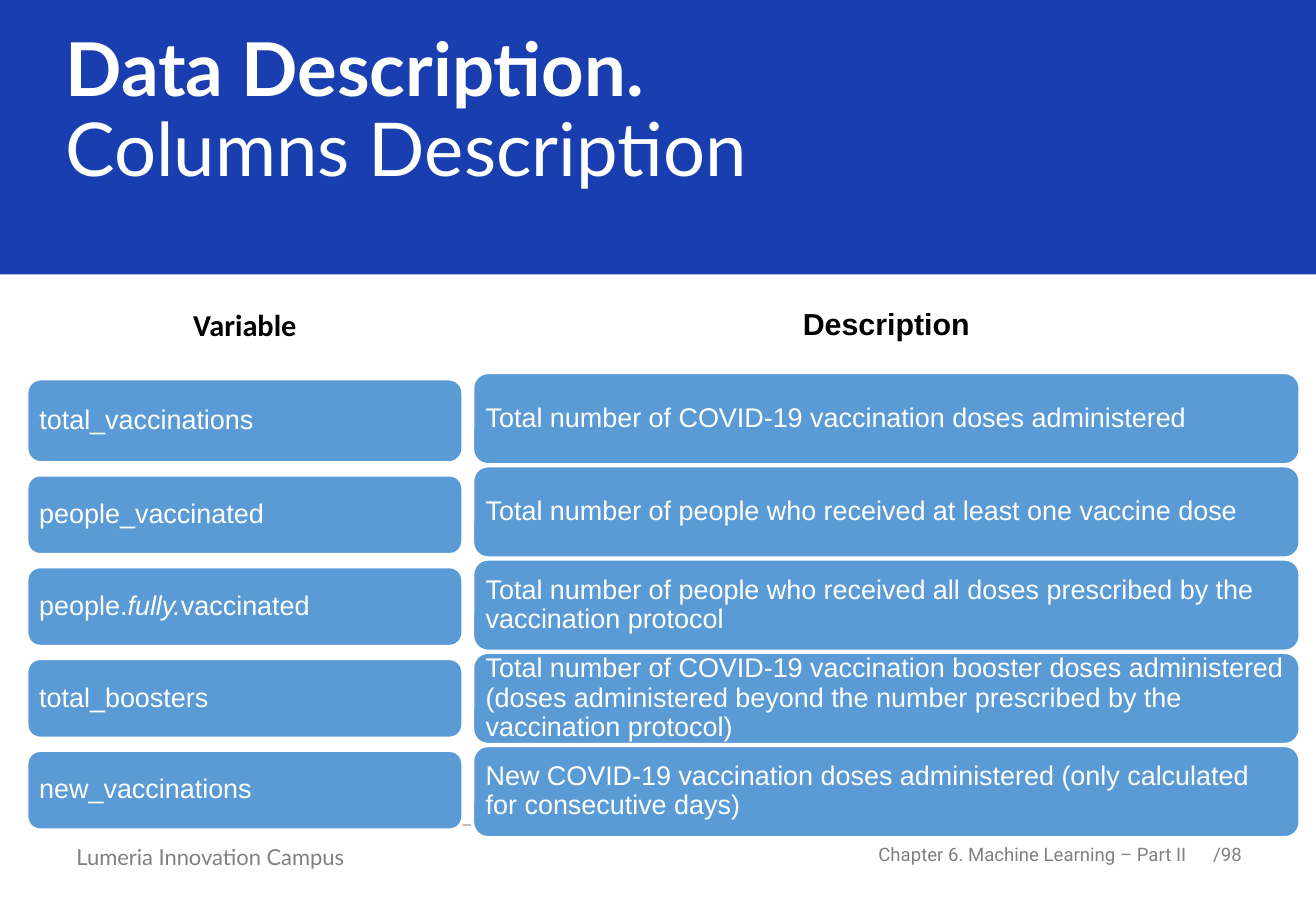
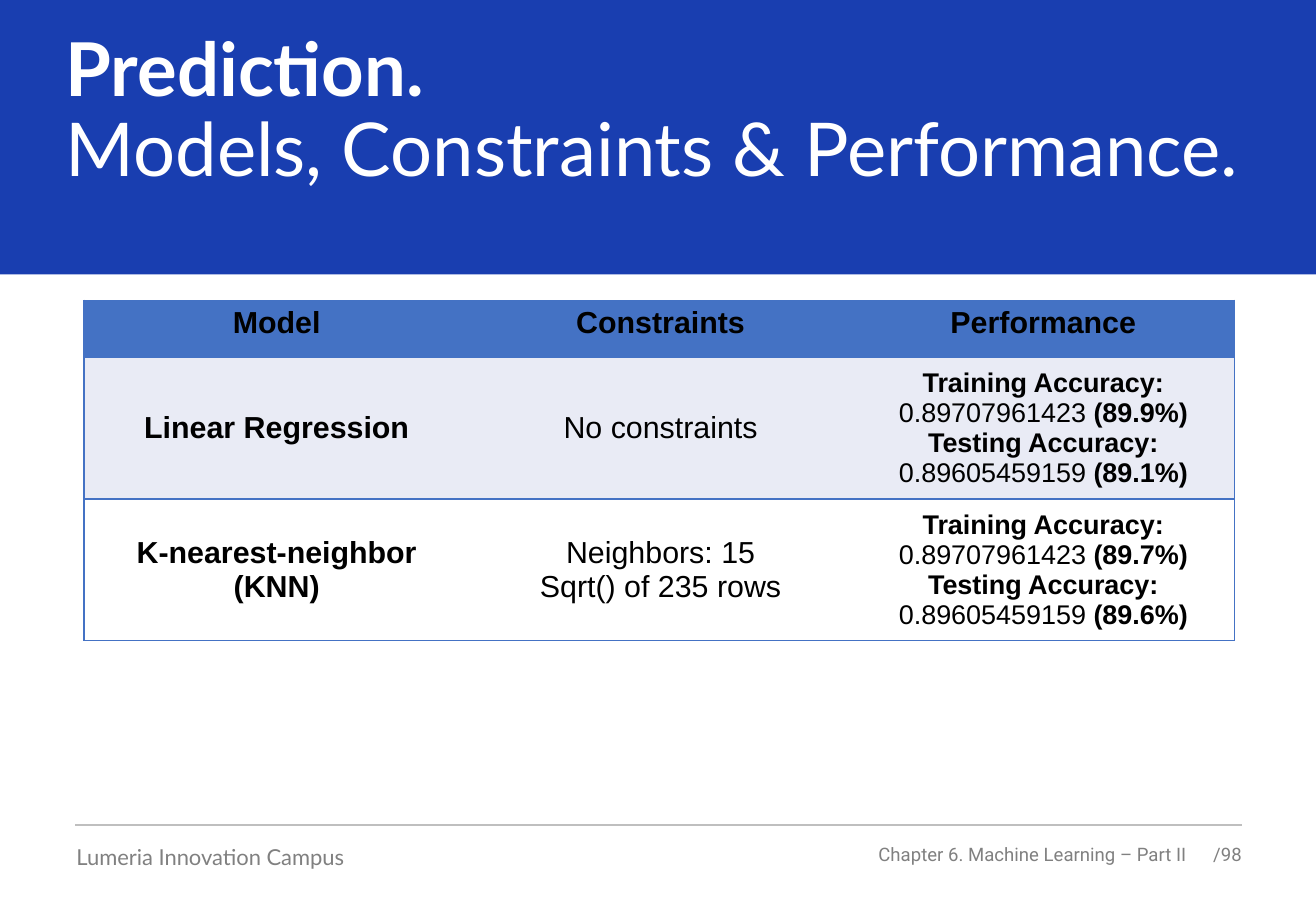
from collections import namedtuple

from lxml import etree
from pptx import Presentation
from pptx.dml.color import RGBColor
from pptx.enum.shapes import MSO_CONNECTOR, MSO_SHAPE
from pptx.enum.text import MSO_ANCHOR, PP_ALIGN
from pptx.oxml.ns import qn
from pptx.util import Cm, Pt

LEFT, CENTER, RIGHT = PP_ALIGN.LEFT, PP_ALIGN.CENTER, PP_ALIGN.RIGHT
TOP, MIDDLE = MSO_ANCHOR.TOP, MSO_ANCHOR.MIDDLE
RECTANGLE, ROUNDED = MSO_SHAPE.RECTANGLE, MSO_SHAPE.ROUNDED_RECTANGLE
STRAIGHT = MSO_CONNECTOR.STRAIGHT

BAND_BLUE = RGBColor(0x19, 0x3E, 0xB0)
CARD_BLUE = RGBColor(0x5B, 0x9B, 0xD5)
TABLE_BLUE = RGBColor(0x44, 0x72, 0xC4)
TABLE_TINT = RGBColor(0xE9, 0xEB, 0xF5)
RULE_GREY = RGBColor(0xBF, 0xBF, 0xBF)
FOOTER_GREY = RGBColor(0x80, 0x80, 0x80)
WHITE = RGBColor(0xFF, 0xFF, 0xFF)
BLACK = RGBColor(0, 0, 0)

WIDTH, HEIGHT = 27.51, 19.05
BAND_HEIGHT = 5.74

Style = namedtuple("Style", "font size color bold align spacing", defaults=(False, LEFT, 1.0))
Span = namedtuple("Span", "text bold italic", defaults=(None, None))

TITLE = Style("Lato", 44, WHITE, True, LEFT, 0.9)
SUBTITLE = TITLE._replace(bold=False)
CAMPUS = Style("Lato", 13, FOOTER_GREY)
CHAPTER = Style("Roboto", 11, FOOTER_GREY, align=RIGHT)
CARD = Style("Arial", 16, WHITE, spacing=0.9)
CARD_HEADER = Style("Arial", 18, BLACK, True, CENTER, 0.9)
CELL = Style("Arial", 18, BLACK, align=CENTER)
CELL_BOLD = CELL._replace(bold=True)
CELL_SMALL = CELL._replace(size=16)


class Deck:
    """Holds the presentation, its shared style and the current slide."""

    def __init__(self):
        self.deck = Presentation()
        self.deck.slide_width, self.deck.slide_height = Cm(WIDTH), Cm(HEIGHT)
        self.page = None

    def add_page(self, title, subtitle):
        self.page = self.deck.slides.add_slide(self.deck.slide_layouts[6])
        self.shape(RECTANGLE, 0, 0, WIDTH, BAND_HEIGHT, BAND_BLUE)
        self.rule(1.57, 25.96, 17.25)
        self.text("Lumeria Innovation Campus", CAMPUS, 1.6, 17.65, 8.03, 0.56, TOP)
        self.text("Chapter 6. Machine Learning – Part II", CHAPTER, 17.65, 17.63, 7.16, 0.46)
        self.text("/98", CHAPTER, 24.46, 17.4, 1.5, 0.94)
        frame = self.text(title, TITLE, 1.37, 0.76, 24.77, 3.18)
        self.paragraph(frame.add_paragraph(), subtitle, SUBTITLE)

    def paragraph(self, para, content, style):
        """Fill a paragraph with a string or a list of spans."""
        para.alignment, para.line_spacing = style.align, style.spacing
        para.font.name, para.font.size = style.font, Pt(style.size)
        para.font.bold = style.bold
        para.font.color.rgb = style.color
        for span in [Span(content)] if isinstance(content, str) else content:
            run = para.add_run()
            run.text = span.text
            run.font.bold, run.font.italic = span.bold, span.italic

    def text(self, content, style, left, top, width, height, anchor=MIDDLE):
        box = self.page.shapes.add_textbox(Cm(left), Cm(top), Cm(width), Cm(height))
        return self.fill_frame(box.text_frame, content, style, 0, anchor)

    def fill_frame(self, frame, content, style, margin, anchor=MIDDLE):
        frame.word_wrap, frame.vertical_anchor = True, anchor
        frame.margin_left = frame.margin_right = Cm(margin)
        frame.margin_top = frame.margin_bottom = Cm(margin)
        self.paragraph(frame.paragraphs[0], content, style)
        return frame

    def shape(self, kind, left, top, width, height, fill):
        box = self.page.shapes.add_shape(kind, Cm(left), Cm(top), Cm(width), Cm(height))
        box.shadow.inherit = False
        box.fill.solid()
        box.fill.fore_color.rgb = fill
        box.line.fill.background()
        return box

    def rule(self, left, right, top):
        line = self.page.shapes.add_connector(STRAIGHT, Cm(left), Cm(top), Cm(right), Cm(top))
        line.line.color.rgb = RULE_GREY
        line.line.width = Pt(0.75)
        etree.SubElement(line._element.spPr, qn("a:effectLst"))

    def card_column(self, cards, left, top, width, heights, gap, header_font):
        """Stack cards downwards; the first one is the white header."""
        for index, (content, height) in enumerate(zip(cards, heights)):
            header = index == 0
            box = self.shape(ROUNDED, left, top, width, height, WHITE if header else CARD_BLUE)
            box.line.color.rgb = WHITE
            box.line.width = Pt(2)
            style = CARD_HEADER._replace(font=header_font) if header else CARD
            self.fill_frame(box.text_frame, content, style, 0.18)
            top += height + gap

    def cell_borders(self, cell, sides):
        properties = cell._tc.get_or_add_tcPr()
        for side in "LRTB":
            line = etree.SubElement(properties, qn(f"a:ln{side}"), w=str(Pt(1)))
            if side in sides:
                fill = etree.SubElement(line, qn("a:solidFill"))
                etree.SubElement(fill, qn("a:srgbClr"), val=str(TABLE_BLUE))
            else:
                etree.SubElement(line, qn("a:noFill"))

    def table(self, rows, left, top, widths, heights, fills):
        """Draw rows of cells, each cell being a list of (content, style) paragraphs."""
        frame = self.page.shapes.add_table(len(rows), len(widths), Cm(left), Cm(top),
                                           Cm(sum(widths)), Cm(sum(heights)))
        table = frame.table
        table.first_row = table.horz_banding = False
        for column, width in zip(table.columns, widths):
            column.width = Cm(width)
        for row, height in zip(table.rows, heights):
            row.height = Cm(height)
        sides = ["LTB"] + ["TB"] * (len(widths) - 2) + ["RTB"]
        for row_index, row in enumerate(rows):
            for column_index, paragraphs in enumerate(row):
                cell = table.cell(row_index, column_index)
                self.cell_borders(cell, sides[column_index])
                cell.fill.solid()
                cell.fill.fore_color.rgb = fills[row_index]
                cell.vertical_anchor = MIDDLE if row_index else TOP
                for index, (content, style) in enumerate(paragraphs):
                    text = cell.text_frame
                    para = text.add_paragraph() if index else text.paragraphs[0]
                    self.paragraph(para, content, style)


def accuracy(training, testing):
    return [
        ([Span("Training Accuracy: ", True), Span("0.89707961423 "),
          Span(f"({training})", True)], CELL_SMALL),
        ("Testing Accuracy:", CELL_SMALL._replace(bold=True)),
        ([Span("0.89605459159 "), Span(f"({testing})", True)], CELL_SMALL),
    ]


def main():
    deck = Deck()

    deck.add_page("Data Description.", "Columns Description")
    variables = [
        "Variable",
        "total_vaccinations",
        "people_vaccinated",
        [Span("people."), Span("fully.", italic=True), Span("vaccinated")],
        "total_boosters",
        "new_vaccinations",
    ]
    descriptions = [
        "Description",
        "Total number of COVID-19 vaccination doses administered",
        "Total number of people who received at least one vaccine dose",
        "Total number of people who received all doses prescribed by the vaccination protocol",
        "Total number of COVID-19 vaccination booster doses administered "
        "(doses administered beyond the number prescribed by the vaccination protocol)",
        "New COVID-19 vaccination doses administered (only calculated for consecutive days)",
    ]
    deck.card_column(variables, 0.56, 6, 9.12, [1.67, 1.76] + [1.67] * 4, 0.25, "Calibri")
    deck.card_column(descriptions, 9.88, 5.84, 17.3, [1.93] * 6, 0.02, "Arial")

    deck.add_page("Prediction.", "Models, Constraints & Performance.")
    rows = [
        [[(name, CELL_BOLD)] for name in ("Model", "Constraints", "Performance")],
        [[("Linear Regression", CELL_BOLD)], [("No constraints", CELL)],
         accuracy("89.9%", "89.1%")],
        [[("K-nearest-neighbor (KNN)", CELL_BOLD)],
         [("Neighbors: 15", CELL), ("Sqrt() of 235 rows", CELL)],
         accuracy("89.7%", "89.6%")],
    ]
    deck.table(rows, 1.76, 6.28, [8.05, 8, 8], [1.19, 2.76, 2.76],
               [TABLE_BLUE, TABLE_TINT, WHITE])

    deck.deck.save("out.pptx")


if __name__ == "__main__":
    main()
